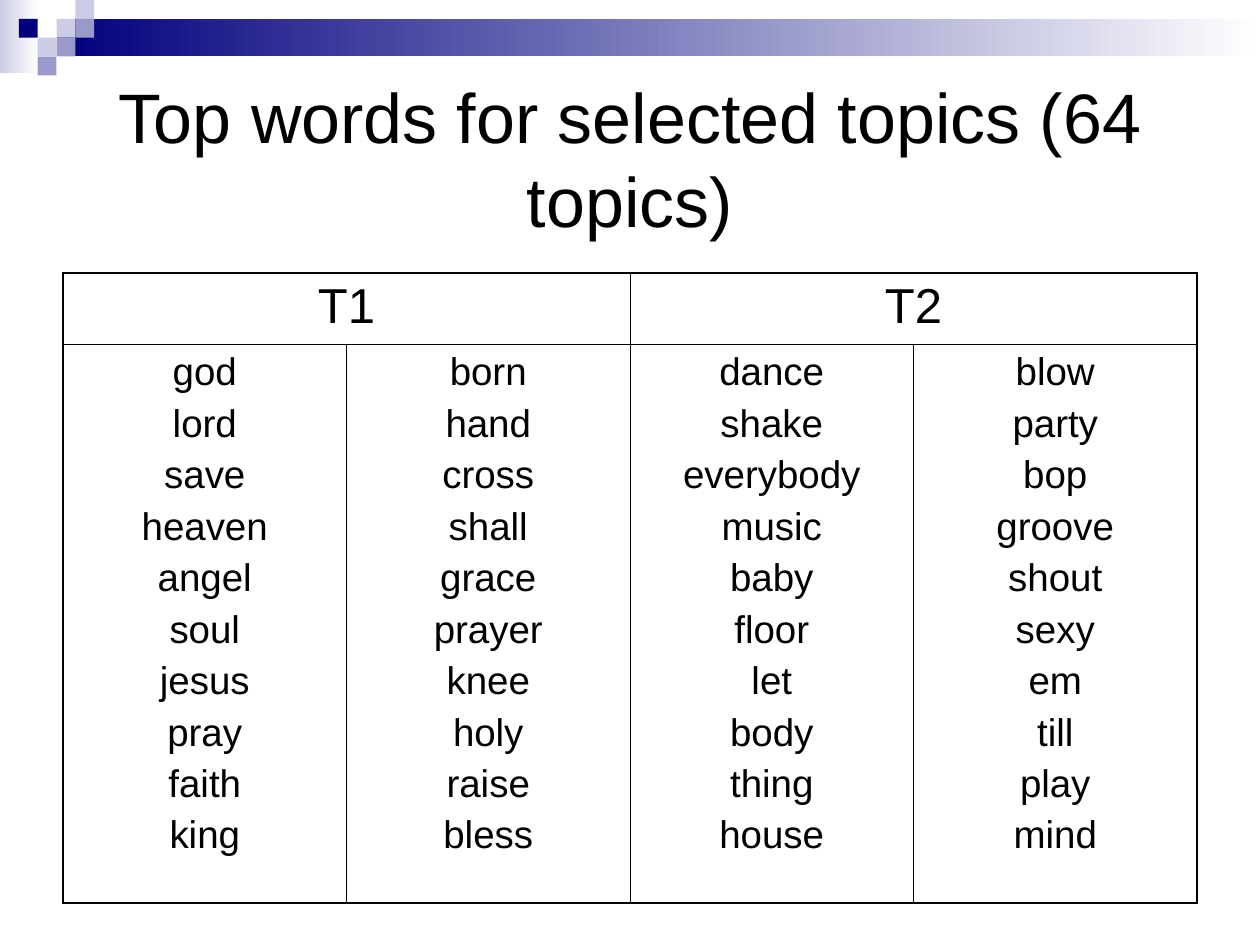
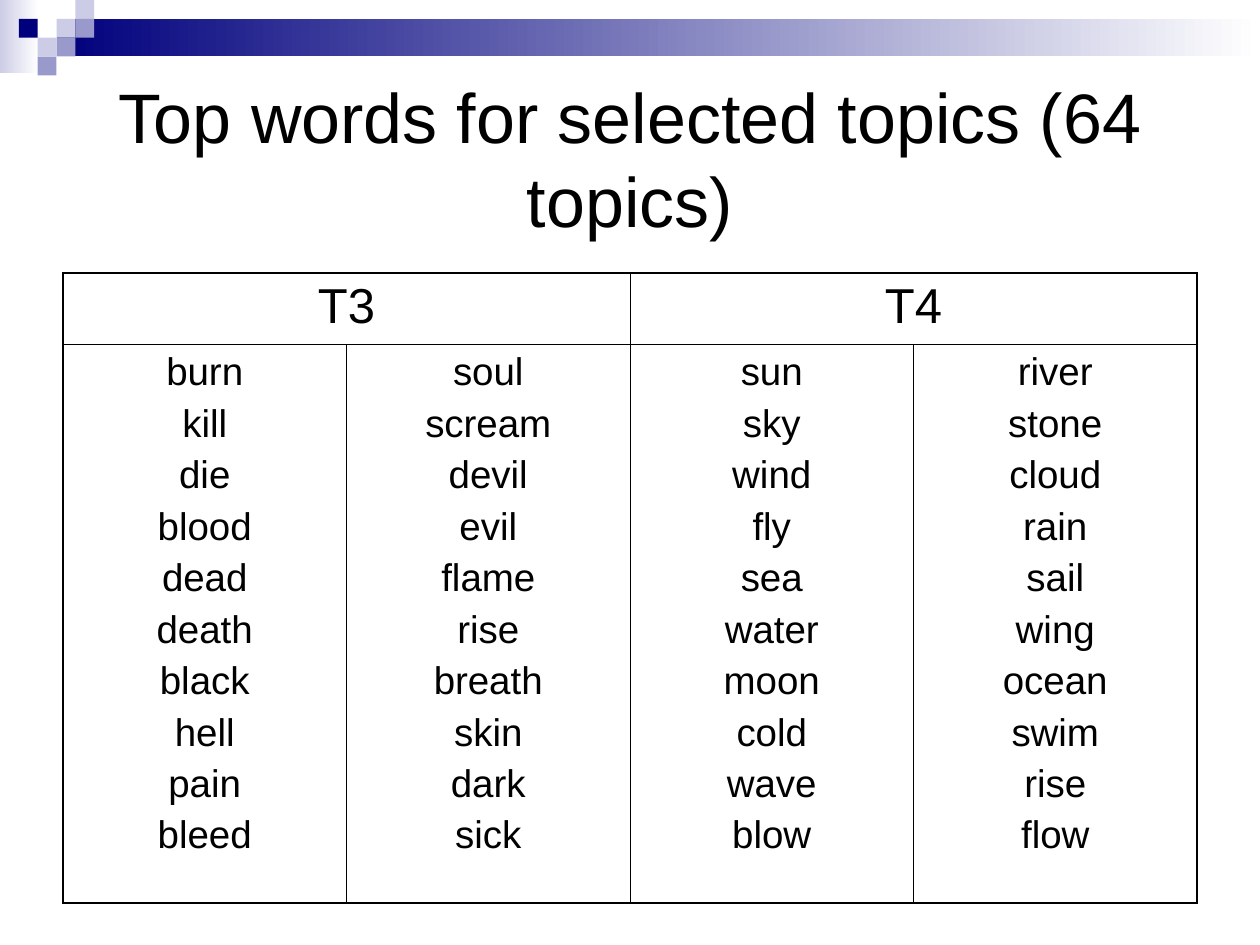
from pptx import Presentation
from pptx.dml.color import RGBColor
from pptx.enum.shapes import MSO_SHAPE as Shape
from pptx.enum.text import MSO_ANCHOR as Anchor, PP_ALIGN as Align
from pptx.oxml.ns import qn
from pptx.util import Cm, Pt
from lxml.etree import SubElement

NAVY, PERIWINKLE, LAVENDER = "00007D", "9999CC", "CCCCE6"
WHITE, BLACK = "FFFFFF", "000000"
FONT = "Arial"
SLIDE_BOX = (0, 0, 25.4, 19.05)
TITLE_BOX = (1.27, 1.27, 22.86, 3.81)
TABLE_BOX = (1.27, 5.5, 22.86, 12.7)
SQUARE = 0.38
# (column, row, colour) on the grid of small squares
MOSAIC = [
    (3, 1, LAVENDER), (4, 0, LAVENDER), (4, 1, PERIWINKLE),
    (2, 2, LAVENDER), (1, 1, NAVY), (3, 2, PERIWINKLE), (2, 3, PERIWINKLE),
]
HEADER_HEIGHT = 1.45
THIN, THICK = 0.45, 1.08

TITLE = "Top words for selected topics (64 topics)"
TOPIC_SLIDES = [
    {
        "T1": ["god lord save heaven angel soul jesus pray faith king",
               "born hand cross shall grace prayer knee holy raise bless"],
        "T2": ["dance shake everybody music baby floor let body thing house",
               "blow party bop groove shout sexy em till play mind"],
    },
    {
        "T3": ["burn kill die blood dead death black hell pain bleed",
               "soul scream devil evil flame rise breath skin dark sick"],
        "T4": ["sun sky wind fly sea water moon cold wave blow",
               "river stone cloud rain sail wing ocean swim rise flow"],
    },
]


def rgb(color):
    return RGBColor.from_string(color)


def add_block(slide, box, *colors):
    """Add a rectangle: one colour is solid, two fade from left to right."""
    block = slide.shapes.add_shape(Shape.RECTANGLE, *map(Cm, box))
    block.shadow.inherit = False
    block.line.fill.background()
    if len(colors) == 1:
        block.fill.solid()
        block.fill.fore_color.rgb = rgb(colors[0])
    else:
        block.fill.gradient()
        block.fill.gradient_angle = 0
        for stop, color in zip(block.fill.gradient_stops, colors):
            stop.color.rgb = rgb(color)


def add_banner(slide, box):
    left, top, width, _ = box
    add_block(slide, (left, top, 0.78, 1.47), LAVENDER, WHITE)
    band_left = 3 * SQUARE
    add_block(slide, (left + band_left, top + SQUARE, width - band_left, 2 * SQUARE),
              NAVY, WHITE)
    for column, row, color in MOSAIC:
        add_block(slide, (left + column * SQUARE, top + row * SQUARE, SQUARE, SQUARE), color)


def write_lines(frame, lines, size, space_before=0):
    frame.text = "\n".join(lines)
    for paragraph in frame.paragraphs:
        paragraph.alignment = Align.CENTER
        paragraph.space_before = Pt(space_before)
        paragraph.font.name = FONT
        paragraph.font.size = Pt(size)
        paragraph.font.color.rgb = rgb(BLACK)


def add_title(slide, box, title):
    frame = slide.shapes.add_textbox(*map(Cm, box)).text_frame
    frame.word_wrap = True
    frame.vertical_anchor = Anchor.MIDDLE
    write_lines(frame, [title], 40)


def set_borders(cell, **widths):
    properties = cell._tc.get_or_add_tcPr()
    for side, width in widths.items():
        line = SubElement(properties, qn(f"a:ln{side}"), w=str(Pt(width)))
        fill = SubElement(line, qn("a:solidFill"))
        SubElement(fill, qn("a:srgbClr"), val=BLACK)


def add_topic_table(slide, box, topics):
    """Give each topic a header over its columns of words."""
    left, top, width, height = box
    word_columns = [words for columns in topics.values() for words in columns]
    count = len(word_columns)
    table = slide.shapes.add_table(2, count, *map(Cm, box)).table
    table.first_row = table.horz_banding = False
    for column in table.columns:
        column.width = Cm(width / count)
    table.rows[0].height = Cm(HEADER_HEIGHT)
    table.rows[1].height = Cm(height - HEADER_HEIGHT)

    start = 0
    for topic, columns in topics.items():
        header = table.cell(0, start)
        header.merge(table.cell(0, start + len(columns) - 1))
        write_lines(header.text_frame, [topic], 28)
        start += len(columns)
    for index, words in enumerate(word_columns):
        write_lines(table.cell(1, index).text_frame, words.split(), 22, space_before=4.8)

    for row in range(2):
        for index in range(count):
            cell = table.cell(row, index)
            set_borders(
                cell,
                L=THICK if index == 0 else THIN,
                R=THICK if index + cell.span_width == count else THIN,
                T=THICK if row == 0 else THIN,
                B=THICK if row == 1 else THIN,
            )
            cell.fill.background()


def add_topic_slide(deck, topics):
    slide = deck.slides.add_slide(deck.slide_layouts[6])
    add_banner(slide, SLIDE_BOX)
    add_title(slide, TITLE_BOX, TITLE)
    add_topic_table(slide, TABLE_BOX, topics)


def main():
    deck = Presentation()
    deck.slide_width, deck.slide_height = map(Cm, SLIDE_BOX[2:])
    for topics in TOPIC_SLIDES:
        add_topic_slide(deck, topics)
    deck.save("out.pptx")


if __name__ == "__main__":
    main()
